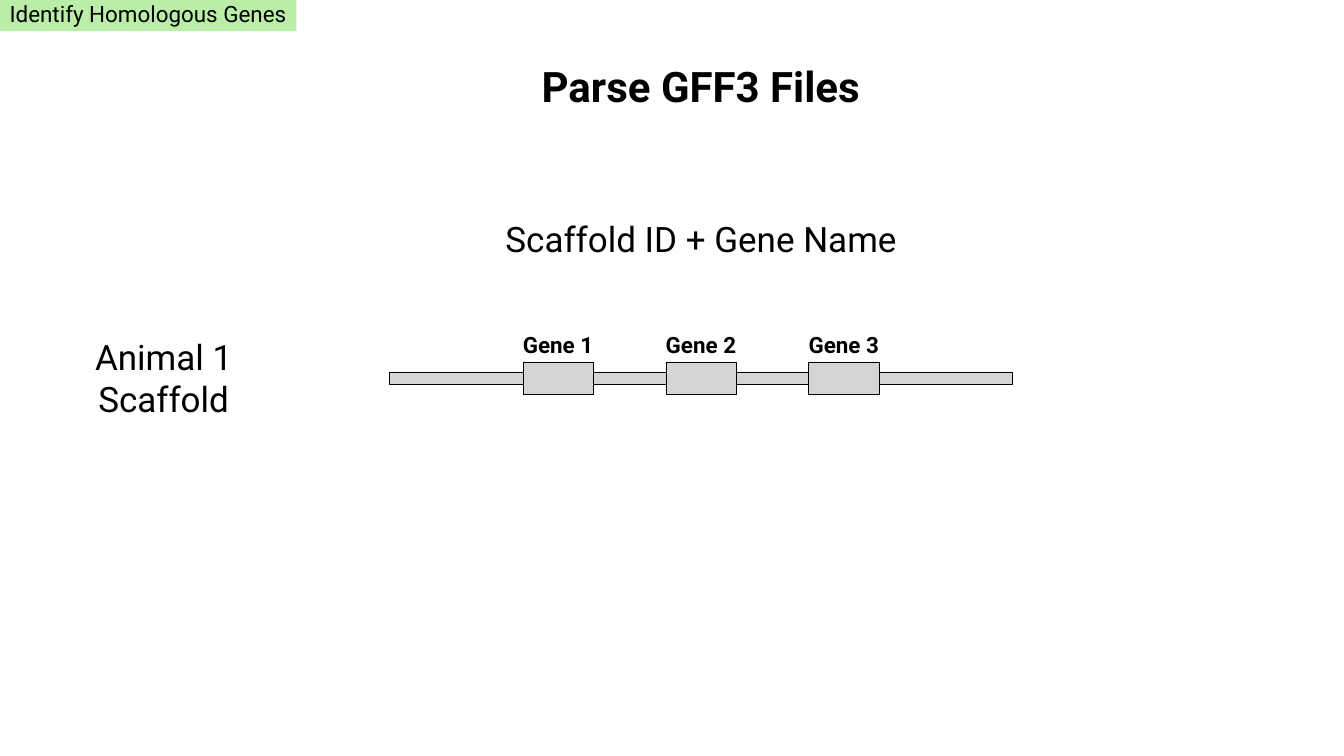
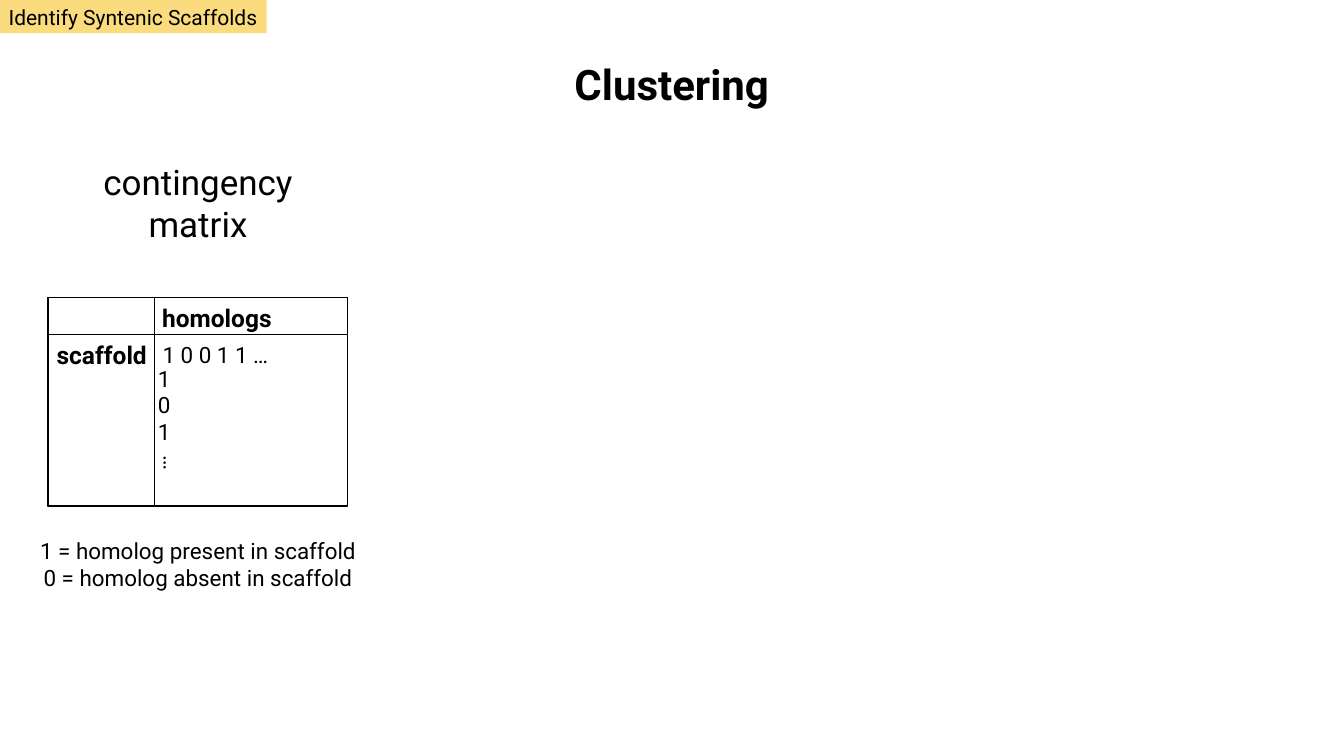
"""Two slides on parsing genes and clustering scaffolds."""
from lxml import etree
from pptx import Presentation
from pptx import util as u
from pptx.dml.color import RGBColor
from pptx.enum import shapes, text
from pptx.oxml.ns import qn

BLACK, GREY = "000000", "D6D5D5"
HEAD = {"size": 60, "bold": True}
BODY = {"size": 50}
NOTE = {"size": 32}
GENE = {"size": 32, "bold": True}
LABEL = {"size": 35, "bold": True}

BANDS = [
    ("Identify Homologous Genes", (0, -0.07, 5.88, 0.69), "61D836", 43, 32),
    ("Identify Syntenic Scaffolds", (-0.01, 0, 5.3, 0.66), "F7BA01", 50, 30),
]
TEXTS = [
    [
        (["Parse GFF3 Files"], (10.48, 1.12, 6.85, 1.16), HEAD),
        (["Scaffold ID + Gene Name"], (9.87, 4.24, 8.09, 0.97), BODY),
    ],
    [
        (["Clustering"], (11.2, 1.09, 4.26, 1.16), HEAD),
        (["contingency", "matrix"], (1.85, 3.12, 4.16, 1.8), BODY),
        (["homologs"], (3.07, 5.94, 2.47, 0.74), LABEL),
        (["scaffold"], (1.01, 6.67, 2.02, 0.74), LABEL),
        (["1 0 0 1 1 …"], (3.04, 6.7, 2.47, 0.67), NOTE),
        (["1", "0", "1"], (2.99, 7.17, 0.54, 1.73), NOTE),
        (["1 = homolog present in scaffold", "0 = homolog absent in scaffold"],
         (0.64, 10.6, 6.58, 1.2), NOTE),
    ],
]
ANIMAL = (["Animal 1 Scaffold"], (1.75, 6.6, 3, 1.8), BODY)
DOTS = (["…"], (3.12, 8.86, 0.61, 0.67), NOTE)
GENES = ["Gene 1", "Gene 2", "Gene 3"]
BAR = (7.73, 7.38, 12.35, 0.24)
START, PITCH, WIDE, TALL = 10.38, 2.835, 1.39, 0.64
TAG_W, TAG_H = 1.65, 0.69
LEFT, TOP, FULL, DEEP, SIDE, ROW = 0.95, 5.9, 5.95, 4.14, 2.12, 0.74


def color(code):
    return RGBColor.from_string(code)


def write(shape, lines, style, wrap=False):
    frame = shape.text_frame
    looks = {"word_wrap": wrap, "vertical_anchor": text.MSO_ANCHOR.MIDDLE,
             "auto_size": text.MSO_AUTO_SIZE.SHAPE_TO_FIT_TEXT}
    for side in ("left", "top", "right", "bottom"):
        looks["margin_" + side] = u.Inches(0.08)
    for name, value in looks.items():
        setattr(frame, name, value)
    frame.text = "\n".join(lines)
    font = {"name": "Roboto", **style, "size": u.Pt(style["size"])}
    for para in frame.paragraphs:
        para.alignment = text.PP_ALIGN.CENTER
        for name, value in font.items():
            setattr(para.font, name, value)
        para.font.color.rgb = color(BLACK)


def label(slide, lines, place, style, wrap=False):
    box = slide.shapes.add_textbox(*map(u.Inches, place))
    write(box, lines, style, wrap)
    return box


def block(slide, place, fill=None, line=None):
    rect = slide.shapes.add_shape(shapes.MSO_SHAPE.RECTANGLE, *map(u.Inches, place))
    rect.shadow.inherit = False
    if fill:
        rect.fill.solid()
        rect.fill.fore_color.rgb = color(fill)
    else:
        rect.fill.background()
    if line:
        rect.line.color.rgb = color(BLACK)
        rect.line.width = u.Pt(line)
    else:
        rect.line.fill.background()
    return rect


def band(slide, title, place, fill, alpha, size):
    rect = block(slide, place, fill)
    tint = rect._element.spPr.find(".//" + qn("a:srgbClr"))
    etree.SubElement(tint, qn("a:alpha")).set("val", str(alpha * 1000))
    write(rect, [title], {"size": size})


def genes(slide):
    block(slide, BAR, GREY, 1)
    top = BAR[1] + BAR[3] / 2 - TALL / 2
    for i, name in enumerate(GENES):
        left = START + i * PITCH
        block(slide, (left, top, WIDE, TALL), GREY, 1)
        tag = (left + (WIDE - TAG_W) / 2, top - TAG_H, TAG_W, TAG_H)
        label(slide, [name], tag, GENE)
    label(slide, *ANIMAL, wrap=True)


def matrix(slide):
    for wide, deep in ((FULL, DEEP), (SIDE, DEEP), (FULL, ROW)):
        block(slide, (LEFT, TOP, wide, deep), line=2)
    label(slide, *DOTS).rotation = 90


def main():
    deck = Presentation()
    deck.slide_width, deck.slide_height = u.Inches(26.67), u.Inches(15)
    for strip, texts, draw in zip(BANDS, TEXTS, (genes, matrix)):
        slide = deck.slides.add_slide(deck.slide_layouts[6])
        band(slide, *strip)
        draw(slide)
        for item in texts:
            label(slide, *item)
    deck.save("out.pptx")


if __name__ == "__main__":
    main()
